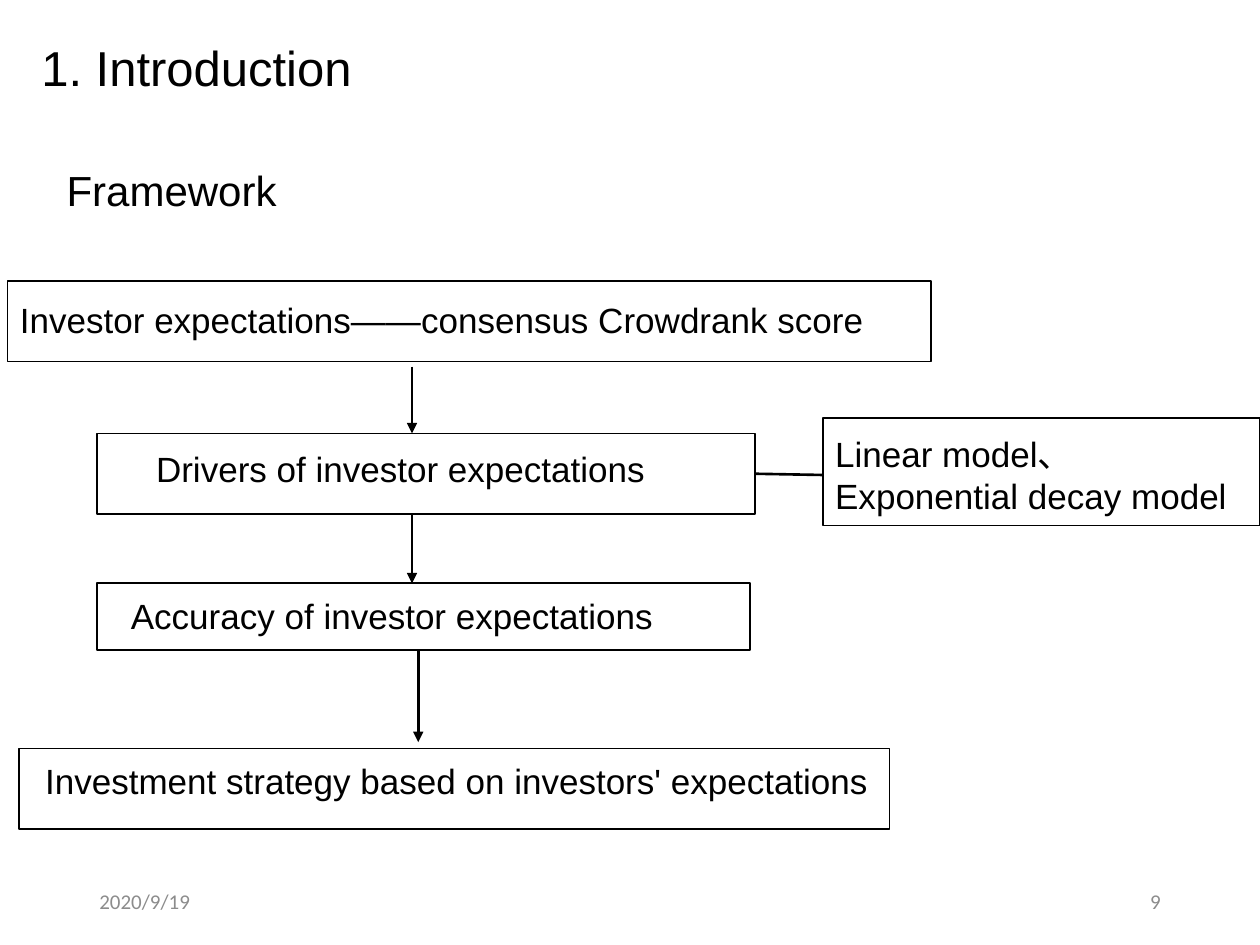
"""Build the introduction slide with the research framework flowchart."""
import pptx
import pptx.dml.color
import pptx.enum.shapes
import pptx.enum.text
import pptx.oxml.ns
import pptx.util
from lxml import etree
from pptx.util import Inches

BLACK = pptx.dml.color.RGBColor(0x00, 0x00, 0x00)
GRAY = pptx.dml.color.RGBColor(0x8C, 0x8C, 0x8C)
LEFT = pptx.enum.text.PP_ALIGN.LEFT
RIGHT = pptx.enum.text.PP_ALIGN.RIGHT
TOP = pptx.enum.text.MSO_ANCHOR.TOP
MIDDLE = pptx.enum.text.MSO_ANCHOR.MIDDLE


class FrameworkSlide:
    def __init__(self, slide, font="Arial", color=BLACK):
        self.slide = slide
        self.font = font
        self.color = color

    def text(self, bounds, lines, size=20, font=None, color=None,
             align=LEFT, anchor=TOP, spacing=1.0):
        shape = self.slide.shapes.add_textbox(*map(Inches, bounds))
        frame = shape.text_frame
        frame.word_wrap = True
        frame.vertical_anchor = anchor
        frame.text = "\n".join(lines)
        for paragraph in frame.paragraphs:
            paragraph.alignment = align
            paragraph.line_spacing = spacing
            paragraph.font.size = pptx.util.Pt(size)
            paragraph.font.name = font or self.font
            paragraph.font.color.rgb = color or self.color

    def box(self, bounds):
        shape = self.slide.shapes.add_shape(
            pptx.enum.shapes.MSO_SHAPE.RECTANGLE, *map(Inches, bounds))
        shape.shadow.inherit = False
        shape.fill.background()
        shape.line.color.rgb = self.color
        shape.line.width = pptx.util.Pt(1)

    def line(self, start, end, arrow=True):
        connector = self.slide.shapes.add_connector(
            pptx.enum.shapes.MSO_CONNECTOR.STRAIGHT, *map(Inches, start + end))
        connector.line.color.rgb = self.color
        connector.line.width = pptx.util.Pt(1.5)
        qn = pptx.oxml.ns.qn
        if arrow:
            outline = connector.line._get_or_add_ln()
            etree.SubElement(outline, qn("a:tailEnd"), type="triangle")
        etree.SubElement(connector._element.spPr, qn("a:effectLst"))


def main():
    presentation = pptx.Presentation()
    presentation.slide_width = Inches(10)
    presentation.slide_height = Inches(7.5)
    slide = presentation.slides.add_slide(presentation.slide_layouts[6])
    framework = FrameworkSlide(slide)

    framework.text((0.23, 0.3, 8.62, 0.72), ["1. Introduction"], size=28, spacing=0.9)
    framework.text((0.43, 1.26, 5.01, 0.5), ["Framework"], size=24)

    steps = [
        ((0.06, 2.23, 7.33, 0.64), (0.06, 2.32, 7.01, 0.44),
         ["Investor expectations——consensus Crowdrank score"]),
        ((0.77, 3.44, 5.22, 0.64), (1.14, 3.5, 4.54, 0.44),
         ["Drivers of investor expectations"]),
        ((0.77, 4.63, 5.18, 0.53), (0.94, 4.67, 5.23, 0.44),
         ["Accuracy of investor expectations"]),
        ((0.15, 5.94, 6.91, 0.64), (0.26, 5.98, 6.97, 0.44),
         ["Investment strategy based on investors' expectations"]),
        ((6.53, 3.32, 3.47, 0.85), (6.53, 3.38, 3.47, 0.77),
         ["Linear model、", "Exponential decay model"]),
    ]
    for box_bounds, text_bounds, lines in steps:
        framework.box(box_bounds)
        framework.text(text_bounds, lines)

    for x, top, bottom in [(3.27, 2.91, 3.44), (3.27, 4.09, 4.63), (3.32, 5.16, 5.89)]:
        framework.line((x, top), (x, bottom))
    framework.line((5.99, 3.76), (6.53, 3.77), arrow=False)

    for left, label, align in [(0.69, "2020/9/19", LEFT), (7.06, "9", RIGHT)]:
        framework.text((left, 6.95, 2.25, 0.4), [label], size=12, font="Calibri",
                       color=GRAY, align=align, anchor=MIDDLE)

    presentation.save("out.pptx")


if __name__ == "__main__":
    main()
